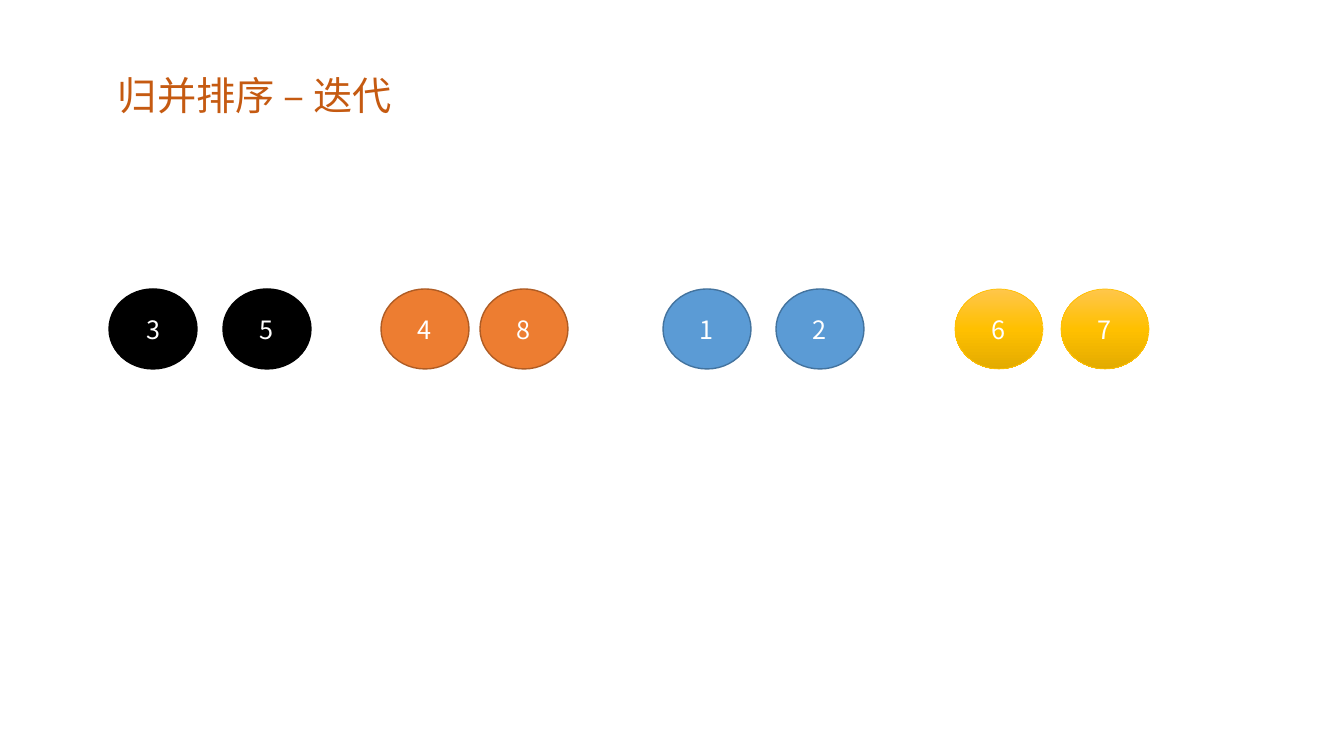
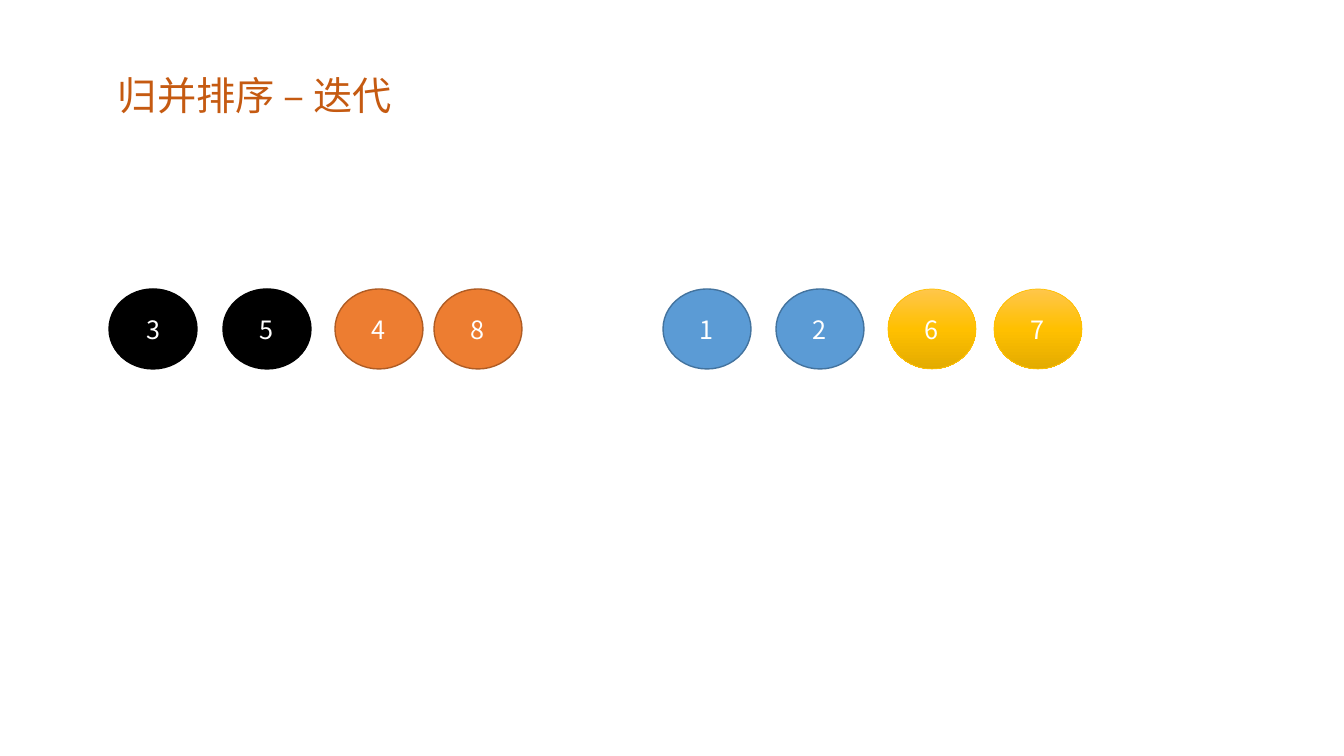
from copy import deepcopy
from dataclasses import dataclass

from lxml import etree
from pptx import Presentation
from pptx.dml.color import RGBColor
from pptx.enum.shapes import MSO_SHAPE
from pptx.enum.text import MSO_ANCHOR, MSO_AUTO_SIZE, PP_ALIGN
from pptx.oxml.ns import qn
from pptx.util import Pt

OVAL = MSO_SHAPE.OVAL
MIDDLE = MSO_ANCHOR.MIDDLE
GROW = MSO_AUTO_SIZE.SHAPE_TO_FIT_TEXT
CENTER = PP_ALIGN.CENTER

PX = 914400 / 100.8
SLIDE_SIZE = (1344, 756)
TITLE_BOX = (108, 66, 318, 57)
TITLE = "归并排序 – 迭代"
LATIN_FONT = "Arial"
CJK_FONT = "Noto Sans CJK SC"

WHITE = RGBColor(0xFF, 0xFF, 0xFF)
BLACK = RGBColor(0x00, 0x00, 0x00)
RUST = RGBColor(0xC5, 0x5A, 0x11)
ORANGE = RGBColor(0xED, 0x7D, 0x31)
DARK_ORANGE = RGBColor(0xAF, 0x5C, 0x24)
BLUE = RGBColor(0x5B, 0x9B, 0xD5)
DARK_BLUE = RGBColor(0x43, 0x73, 0x9E)
LIGHT_GOLD = RGBColor(0xFF, 0xC6, 0x4B)
GOLD = RGBColor(0xFF, 0xC0, 0x00)
DARK_GOLD = RGBColor(0xE3, 0xAB, 0x00)

BALL_TOP, BALL_WIDTH, BALL_HEIGHT = 289, 88, 80


@dataclass
class SortedPair:
    """Two merged numbers with their spacing and look."""

    numbers: tuple
    pitch: int
    fills: tuple
    outline: RGBColor
    outline_width: float = 1


PAIRS = (
    SortedPair((3, 5), 114, (BLACK,), BLACK),
    SortedPair((4, 8), 99, (ORANGE,), DARK_ORANGE),
    SortedPair((1, 2), 113, (BLUE,), DARK_BLUE),
    SortedPair((6, 7), 106, (LIGHT_GOLD, GOLD, DARK_GOLD), GOLD, 0.5),
)
SLIDE_PAIR_LEFTS = (
    (109, 381, 663, 955),
    (109, 335, 663, 888),
)


def px(*lengths):
    """Turn pixel lengths into EMU."""
    return [round(length * PX) for length in lengths]


def write(paragraph, text, size, font, color):
    """Add one styled run to a paragraph."""
    run = paragraph.add_run()
    run.text = text
    run.font.size = Pt(size)
    run.font.name = font
    run.font.color.rgb = color
    east_asian = etree.SubElement(run.font._element, qn("a:ea"))
    east_asian.set("typeface", CJK_FONT)


def paint(ball, colors):
    """Fill a ball with one colour or a top-to-bottom gradient."""
    if len(colors) == 1:
        ball.fill.solid()
        ball.fill.fore_color.rgb = colors[0]
        return
    ball.fill.gradient()
    ball.fill.gradient_angle = 270
    stop_list = ball._element.spPr.find(qn("a:gradFill")).find(qn("a:gsLst"))
    while len(stop_list) < len(colors):
        stop_list.append(deepcopy(stop_list[0]))
    for index, (stop, color) in enumerate(zip(ball.fill.gradient_stops, colors)):
        stop.color.rgb = color
        stop.position = index / (len(colors) - 1)


def add_ball(slide, box, number, pair):
    """Draw one numbered ball in its box."""
    ball = slide.shapes.add_shape(OVAL, *px(*box))
    ball.shadow.inherit = False
    paint(ball, pair.fills)
    ball.line.color.rgb = pair.outline
    ball.line.width = Pt(pair.outline_width)
    frame = ball.text_frame
    frame.vertical_anchor = MIDDLE
    frame.paragraphs[0].alignment = CENTER
    write(frame.paragraphs[0], str(number), 18, CJK_FONT, WHITE)


def add_pair(slide, left, top, pair):
    """Draw a sorted pair of balls from its left edge."""
    for index, number in enumerate(pair.numbers):
        box = (left + index * pair.pitch, top, BALL_WIDTH, BALL_HEIGHT)
        add_ball(slide, box, number, pair)


def add_title(slide, box):
    """Place the shared title in its box."""
    frame = slide.shapes.add_textbox(*px(*box)).text_frame
    frame.word_wrap = False
    frame.auto_size = GROW
    write(frame.paragraphs[0], TITLE, 28, LATIN_FONT, RUST)


def add_merge_slide(deck, pair_lefts):
    """Build one step of the merge with its pairs at the given places."""
    slide = deck.slides.add_slide(deck.slide_layouts[6])
    for left, pair in zip(pair_lefts, PAIRS):
        add_pair(slide, left, BALL_TOP, pair)
    add_title(slide, TITLE_BOX)


def main():
    """Build and save the deck."""
    deck = Presentation()
    deck.slide_width, deck.slide_height = px(*SLIDE_SIZE)
    for pair_lefts in SLIDE_PAIR_LEFTS:
        add_merge_slide(deck, pair_lefts)
    deck.save("out.pptx")


main()
